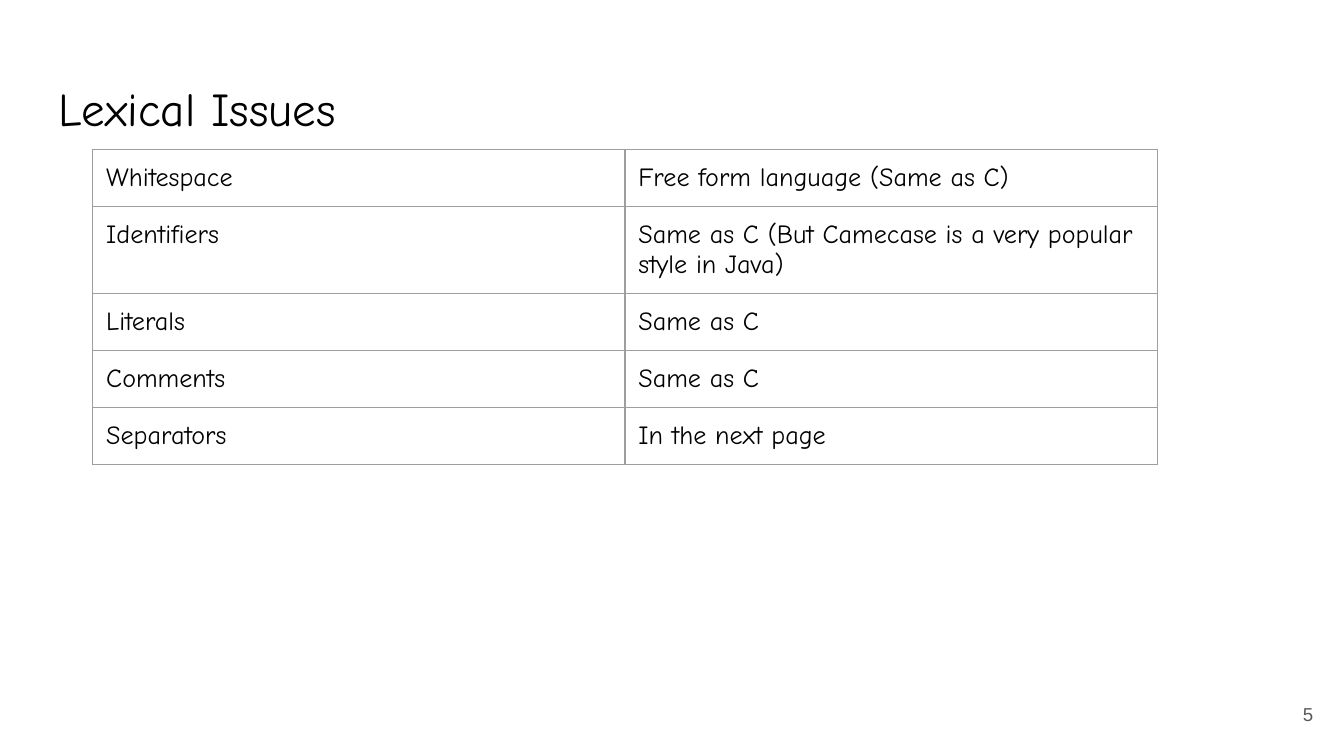
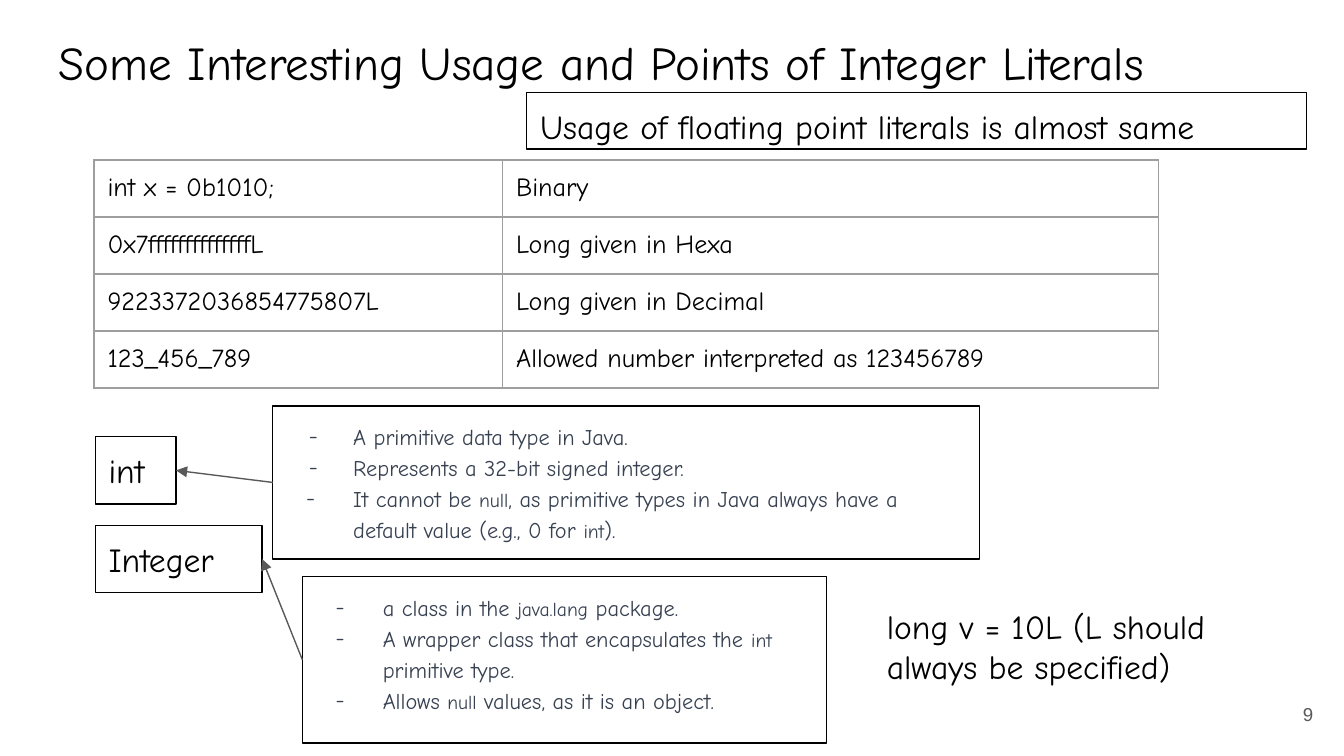
"""Builds two slides on lexical issues and integer literals in Java."""
from lxml.etree import SubElement as Sub
from pptx import Presentation
from pptx.dml.color import RGBColor as RGB
from pptx.enum.shapes import MSO_CONNECTOR as LINK, MSO_SHAPE as KIND
from pptx.enum.text import MSO_ANCHOR as ANCHOR, MSO_AUTO_SIZE as AUTO, PP_ALIGN as ALIGN
from pptx.oxml import parse_xml
from pptx.oxml.ns import nsdecls, qn
from pptx.util import Inches, Pt

HUES = {"ink": "000000", "note": "374151", "gray": "595959", "rule": "9E9E9E"}
FACE = "Comic Neue"
PAD = Inches(0.1)
FRAME = {
    "word_wrap": True, "auto_size": AUTO.NONE, "vertical_anchor": ANCHOR.TOP,
    "margin_left": PAD, "margin_right": PAD, "margin_top": PAD, "margin_bottom": PAD,
}
CELL = {name: FRAME[name] for name in FRAME if name not in ("word_wrap", "auto_size")}


def write(para, text, size, hue="ink", face=FACE):
    """Write text, setting the parts between backticks as smaller code."""
    for i, part in enumerate(text.split("`")):
        run = para.add_run()
        run.text = part
        look = {"name": face, "size": Pt(10.5 if i % 2 else size)}
        for name, value in look.items():
            setattr(run.font, name, value)
        run.font.color.rgb = RGB.from_string(HUES[hue])


def box(slide, at, lines, size, hue="ink", face=FACE, edge=False, dent=None, **extra):
    """Add a text box, or an outlined rectangle, with optional dash bullets."""
    spot = [Inches(v) for v in at]
    if edge:
        shape = slide.shapes.add_shape(KIND.RECTANGLE, *spot)
        shape.shadow.inherit = False
        shape.fill.background()
        shape.line.color.rgb = RGB.from_string(HUES["ink"])
        shape.line.width = Pt(0.75)
    else:
        shape = slide.shapes.add_textbox(*spot)
    frame = shape.text_frame
    for name, value in {**FRAME, **extra}.items():
        setattr(frame, name, value)
    for i, text in enumerate(lines):
        para = frame.add_paragraph() if i else frame.paragraphs[0]
        para.alignment = ALIGN.RIGHT if face == "Arial" else ALIGN.LEFT
        if dent:
            para.line_spacing = 1.15
            prop = para._p.get_or_add_pPr()
            prop.set("marL", str(Inches(0.5)))
            prop.set("indent", str(-Inches(dent[i])))
            Sub(Sub(prop, qn("a:buClr")), qn("a:srgbClr")).set("val", HUES[hue])
            Sub(prop, qn("a:buFont")).set("typeface", face)
            Sub(prop, qn("a:buChar")).set("char", "-")
        write(para, text, size, hue, face)
    return shape


deck = Presentation()
deck.slide_width = Inches(10)
deck.slide_height = deck.slide_width * 9 // 16

PAGES = [
    {
        "title": "Lexical Issues", "top": 0.49, "page": "5",
        "at": (0.69, 1.11), "cols": (3.96, 3.96),
        "rows": [
            ("Whitespace", "Free form language (Same as C)"),
            ("Identifiers", "Same as C (But Camecase is a very popular style in Java)"),
            ("Literals", "Same as C"),
            ("Comments", "Same as C"),
            ("Separators", "In the next page"),
        ],
    },
    {
        "title": "Some Interesting Usage and Points of Integer Literals",
        "top": 0.15, "page": "9",
        "at": (0.7, 1.19), "cols": (3.04, 4.88),
        "rows": [
            ("int x = 0b1010;", "Binary"),
            ("0x7ffffffffffffffL", "Long given in Hexa"),
            ("9223372036854775807L", "Long given in Decimal"),
            ("123_456_789", "Allowed number interpreted as 123456789"),
        ],
    },
]
HIGH = 0.42

for page in PAGES:
    slide = deck.slides.add_slide(deck.slide_layouts[6])
    box(slide, (0.34, page["top"], 9.32, 0.63), [page["title"]], 25.2)
    box(slide, (9.27, 5.1, 0.6, 0.43), [page["page"]], 10, "gray", "Arial",
        vertical_anchor=ANCHOR.MIDDLE)

    rows, cols = page["rows"], page["cols"]
    size = (*page["at"], sum(cols), HIGH * len(rows))
    table = slide.shapes.add_table(len(rows), len(cols), *map(Inches, size)).table
    table.first_row = table.horz_banding = False
    for col, wide in zip(table.columns, cols):
        col.width = Inches(wide)
    for row, texts in zip(table.rows, rows):
        row.height = Inches(HIGH)
        for cell, text in zip(row.cells, texts):
            for name, value in CELL.items():
                setattr(cell, name, value)
            cell.fill.background()
            prop = cell._tc.get_or_add_tcPr()
            for i, side in enumerate("LRTB"):
                prop.insert(i, parse_xml(
                    f'<a:ln{side} {nsdecls("a")} w="{Pt(0.75)}"><a:solidFill>'
                    f'<a:srgbClr val="{HUES["rule"]}"/></a:solidFill></a:ln{side}>'))
            write(cell.text_frame.paragraphs[0], text, 14)

TYPES = [
    ("int", (0.71, 3.25, 0.6, 0.5), (2.03, 3.02, 5.26, 1.14), (0.33, 0.33, 0.35), [
        "A primitive data type in Java.",
        "Represents a 32-bit signed integer.",
        "It cannot be `null`, as primitive types in Java always have a default value "
        "(e.g., 0 for `int`).",
    ]),
    ("Integer", (0.71, 3.91, 1.24, 0.5), (2.25, 4.29, 3.9, 1.24), (0.35, 0.35, 0.35), [
        "a class in the `java.lang` package.",
        "A wrapper class that encapsulates the `int` primitive type.",
        "Allows `null` values, as it is an object.",
    ]),
]
LEFT, RIGHT = 1, 3

for name, at, spot, dent, facts in TYPES:
    label = box(slide, at, [name], 18, edge=True)
    note = box(slide, spot, facts, 12, "note", edge=True, dent=dent)
    arrow = slide.shapes.add_connector(LINK.STRAIGHT, 0, 0, 0, 0)
    arrow.begin_connect(note, LEFT)
    arrow.end_connect(label, RIGHT)
    arrow.line.color.rgb = RGB.from_string(HUES["gray"])
    arrow.line.width = Pt(0.75)
    Sub(arrow.line._get_or_add_ln(), qn("a:tailEnd")).set("type", "triangle")
    Sub(arrow._element.spPr, qn("a:effectLst"))

box(slide, (6.5, 4.41, 2.88, 0.63), ["long v = 10L (L should always be specified)"], 18)
box(slide, (3.92, 0.69, 5.8, 0.42), ["Usage of floating point literals is almost same"],
    18, edge=True)

deck.save("out.pptx")
